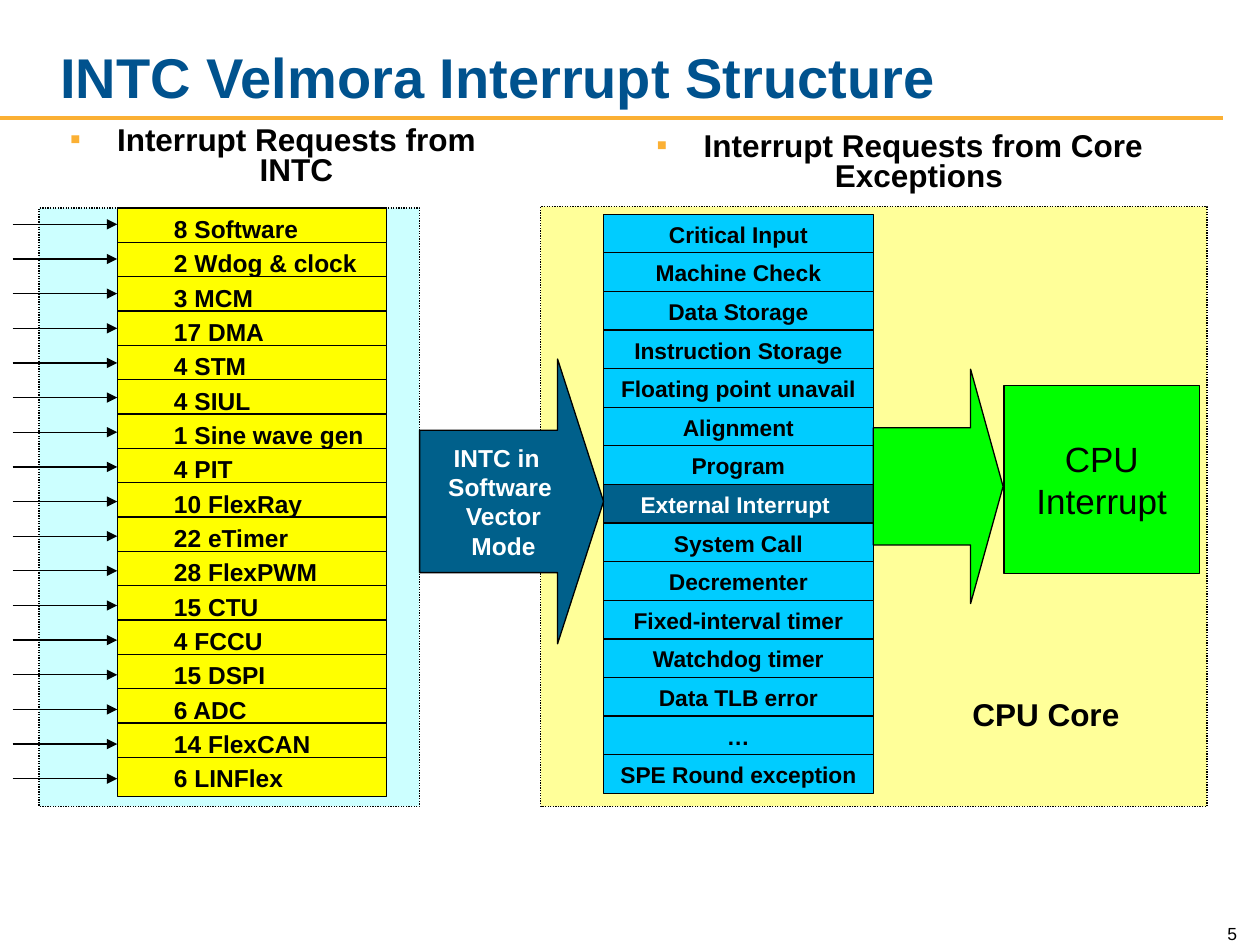
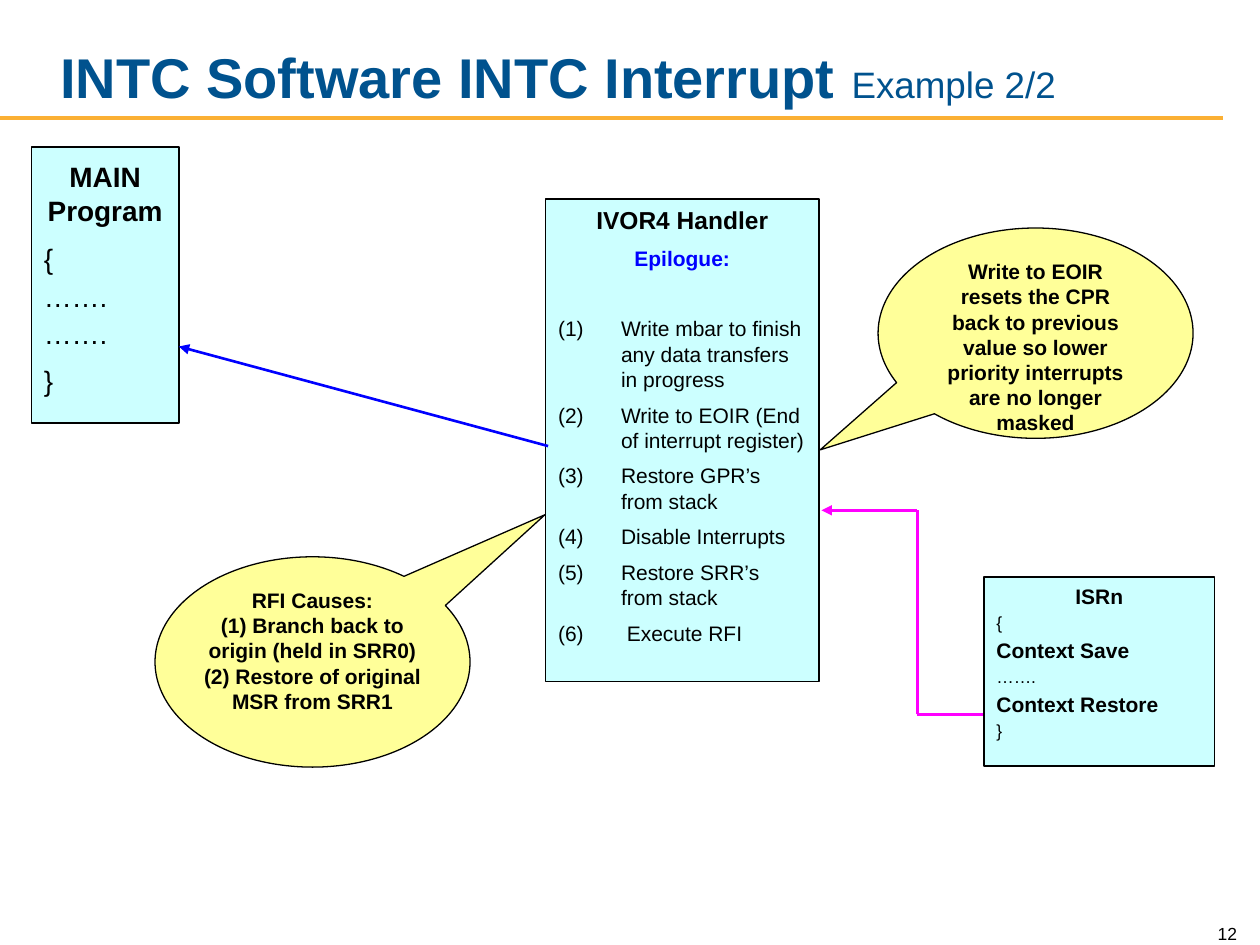
from dataclasses import dataclass
from typing import Optional

from lxml.etree import SubElement
from pptx import Presentation
from pptx.dml.color import RGBColor
from pptx.enum.dml import MSO_LINE
from pptx.enum.shapes import MSO_CONNECTOR as Connector, MSO_SHAPE as Shape
from pptx.enum.text import MSO_ANCHOR as Anchor, PP_ALIGN as Align
from pptx.oxml.ns import qn
from pptx.util import Pt

FONT = "Arial"
BLACK, WHITE = "000000", "FFFFFF"
NAVY, TITLE_BLUE, GOLD = "00608B", "00528E", "FBB034"
CYAN, PALE_CYAN = "00CCFF", "CCFFFF"
YELLOW, PALE_YELLOW, GREEN = "FFFF00", "FFFF99", "00FF00"
BLUE, MAGENTA = "0000FF", "FF00FF"
INSETS = (7.2, 3.6, 7.2, 3.6)

SOURCES = ["8 Software", "2 Wdog & clock", "3 MCM", "17 DMA", "4 STM", "4 SIUL",
           "1 Sine wave gen", "4 PIT", "10 FlexRay", "22 eTimer", "28 FlexPWM",
           "15 CTU", "4 FCCU", "15 DSPI", "6 ADC", "14 FlexCAN", "6 LINFlex"]
EXTERNAL = "External Interrupt "
EXCEPTIONS = ["Critical Input", "Machine Check", "Data Storage", "Instruction Storage",
              "Floating point unavail", "Alignment", "Program", EXTERNAL, "System Call",
              "Decrementer", "Fixed-interval timer", "Watchdog timer", "Data TLB error",
              "…", "SPE Round exception"]
EPILOGUE = ["Write mbar to finish any data transfers in progress",
            "Write to EOIR (End of interrupt register)",
            "Restore GPR’s from stack", "Disable Interrupts",
            "Restore SRR’s from stack", " Execute RFI"]


@dataclass
class Para:
    text: str
    size: float
    bold: bool = False
    color: str = BLACK
    align: Align = Align.LEFT
    before: float = 0
    spacing: float = 1
    hang: float = 0
    bullet: Optional[str] = None


def rgb(hex_color):
    return RGBColor.from_string(hex_color)


def style_run(run, size, bold, color):
    run.font.name = FONT
    run.font.size = Pt(size)
    run.font.bold = bold
    run.font.color.rgb = rgb(color)


def add_bullet(properties, bullet):
    if bullet == "(1)":
        SubElement(properties, qn("a:buFont"), typeface=FONT)
        SubElement(properties, qn("a:buAutoNum"), type="arabicParenBoth")
    else:
        tint = SubElement(properties, qn("a:buClr"))
        SubElement(tint, qn("a:srgbClr"), val=GOLD)
        SubElement(properties, qn("a:buFont"), typeface=FONT)
        SubElement(properties, qn("a:buChar"), char=bullet)


def write(frame, paras, anchor=Anchor.TOP, insets=INSETS, wrap=True):
    frame.word_wrap = wrap
    frame.vertical_anchor = anchor
    (frame.margin_left, frame.margin_top,
     frame.margin_right, frame.margin_bottom) = map(Pt, insets)
    frame.text = "\n".join(para.text for para in paras)
    for para, line in zip(paras, frame.paragraphs):
        line.alignment = para.align
        line.space_before = Pt(para.before)
        line.line_spacing = para.spacing
        properties = line._p.get_or_add_pPr()
        if para.hang:
            properties.set("marL", str(Pt(para.hang)))
            properties.set("indent", str(-Pt(para.hang)))
        if para.bullet:
            add_bullet(properties, para.bullet)
        for run in line.runs:
            style_run(run, para.size, para.bold, para.color)


def add_block(slide, kind, place, fill, paras=(), dotted=False, adjust=(),
              border=0.75, **layout):
    block = slide.shapes.add_shape(kind, *map(Pt, place))
    block.shadow.inherit = False
    block.fill.solid()
    block.fill.fore_color.rgb = rgb(fill)
    block.line.color.rgb = rgb(BLACK)
    block.line.width = Pt(border)
    if dotted:
        block.line.dash_style = MSO_LINE.ROUND_DOT
    for index, value in enumerate(adjust):
        block.adjustments[index] = value
    if paras:
        write(block.text_frame, paras, **layout)


def add_label(slide, place, para, **layout):
    label = slide.shapes.add_textbox(*map(Pt, place))
    write(label.text_frame, [para], **layout)
    return label


def add_line(slide, start, end, color=BLACK, width=0.75, arrow=False):
    line = slide.shapes.add_connector(Connector.STRAIGHT, *map(Pt, start + end))
    line.line.color.rgb = rgb(color)
    line.line.width = Pt(width)
    if arrow:
        SubElement(line.line._get_or_add_ln(), qn("a:tailEnd"), type="triangle")
    SubElement(line._element.spPr, qn("a:effectLst"))


def start_slide(deck, title, number, subtitle=""):
    slide = deck.slides.add_slide(deck.slide_layouts[6])
    add_line(slide, (0, 67.7), (699, 67.7), GOLD, 2.25)
    add_label(slide, (678, 521.3, 36, 21.6), Para(number, 10, align=Align.RIGHT),
              anchor=Anchor.BOTTOM)
    heading = add_label(slide, (27.4, 12.2, 588.2, 54),
                        Para(title, 32, True, TITLE_BLUE), anchor=Anchor.BOTTOM)
    if subtitle:
        suffix = heading.text_frame.paragraphs[0].add_run()
        suffix.text = subtitle
        style_run(suffix, 21, False, TITLE_BLUE)
    return slide


def add_heading(slide, place, text):
    add_label(slide, place, Para(text, 18, True, align=Align.CENTER,
                                 spacing=0.8, hang=27, bullet="▪"))


def add_sources(slide):
    add_block(slide, Shape.RECTANGLE, (22.3, 118.8, 217.4, 342), PALE_CYAN, dotted=True)
    for row, source in enumerate(SOURCES):
        add_block(slide, Shape.RECTANGLE, (67, 118.8 + 19.62 * row, 154, 22.3), YELLOW,
                  [Para(source, 14, True)], insets=(32.4, 3.6, 7.2, 3.6))
        request = 128.2 + 19.8 * row
        add_line(slide, (7.2, request), (67, request), arrow=True)


def add_exceptions(slide):
    for row, name in enumerate(EXCEPTIONS):
        fill, ink = (NAVY, WHITE) if name == EXTERNAL else (CYAN, BLACK)
        add_block(slide, Shape.RECTANGLE, (344.7, 122.4 + 22.06 * row, 154.3, 22.3), fill,
                  [Para(name, 13, True, ink, Align.CENTER)])


def build_structure(deck):
    slide = start_slide(deck, "INTC Velmora Interrupt Structure", "5")
    add_heading(slide, (25.2, 69.1, 261.4, 20.9), "Interrupt Requests from INTC")
    add_heading(slide, (349.2, 72.7, 329.8, 19.4),
                "Interrupt Requests from Core Exceptions ")
    add_block(slide, Shape.RECTANGLE, (308.9, 118.1, 380.9, 342.7), PALE_YELLOW,
              dotted=True)
    add_sources(slide)
    add_exceptions(slide)
    add_block(slide, Shape.RIGHT_ARROW, (239.8, 205.2, 105.1, 162.7), NAVY,
              [Para("INTC in \vSoftware\v Vector\v Mode", 14, True, WHITE, Align.CENTER)],
              adjust=(0.5, 0.25), anchor=Anchor.MIDDLE, wrap=False)
    add_block(slide, Shape.RIGHT_ARROW, (499, 211, 74.2, 133.9), GREEN,
              adjust=(0.5, 0.25))
    add_block(slide, Shape.RECTANGLE, (573.8, 220.3, 111.6, 107.3), GREEN,
              [Para("CPU Interrupt", 20, align=Align.CENTER)], anchor=Anchor.MIDDLE)
    add_label(slide, (548.6, 393.8, 118.1, 32.4), Para("CPU Core", 18, True))


def build_example(deck):
    slide = start_slide(deck, "INTC Software INTC Interrupt ", "12", "Example 2/2")
    center = Align.CENTER
    main_program = [Para("MAIN Program", 16, True, align=center),
                    Para("{", 16, before=8),
                    Para("…….", 16, before=8, spacing=0.7),
                    Para("…….", 16, before=8, spacing=0.7),
                    Para("}", 16, before=8)]
    add_block(slide, Shape.RECTANGLE, (18, 84.2, 84.2, 157.7), PALE_CYAN, main_program,
              border=1, insets=(7.2,) * 4)
    add_block(slide, Shape.OVAL_CALLOUT, (501.8, 130.3, 180, 120.2), PALE_YELLOW,
              [Para("Write to EOIR resets the CPR back to previous value so lower "
                    "priority interrupts are no longer masked", 12, True, align=center)],
              adjust=(-0.684, 0.555), insets=(7.2, 0, 7.2, 3.6))

    handler = [Para("IVOR4 Handler", 14, True, align=center, hang=36),
               Para("Epilogue:", 12, True, BLUE, center, before=6, hang=36)]
    handler += [Para(step, 12, before=6 if index else 26, hang=36, bullet="(1)")
                for index, step in enumerate(EPILOGUE)]
    add_block(slide, Shape.RECTANGLE, (311.8, 113.8, 156.2, 275.8), PALE_CYAN, handler)

    route = [(561.6, 408.2), (524.2, 408.2), (524.2, 291.6), (469.4, 291.6)]
    for start, end in zip(route, route[1:]):
        add_line(slide, start, end, MAGENTA, 1.5, arrow=end == route[-1])

    isr = [Para("ISRn", 12, True, align=center),
           Para("{", 10, before=2),
           Para("Context Save", 12, True, before=2.4),
           Para("…….", 10, before=2),
           Para("Context Restore", 12, True, before=2.4),
           Para("}", 10, before=2)]
    add_block(slide, Shape.RECTANGLE, (562.3, 329.8, 131.8, 108), PALE_CYAN, isr)

    causes = ["RFI Causes:", "(1) Branch back to origin (held in SRR0)",
              "(2) Restore of original MSR from SRR1"]
    add_block(slide, Shape.OVAL_CALLOUT, (88.6, 318.2, 180, 120.2), PALE_YELLOW,
              [Para(cause, 12, True, align=center) for cause in causes],
              adjust=(0.738, -0.7), insets=(0,) * 4)
    add_line(slide, (313.2, 254.9), (102.2, 198), BLUE, 1.5, arrow=True)


def main():
    deck = Presentation()
    deck.slide_width, deck.slide_height = Pt(720), Pt(540)
    build_structure(deck)
    build_example(deck)
    deck.save("out.pptx")


main()
